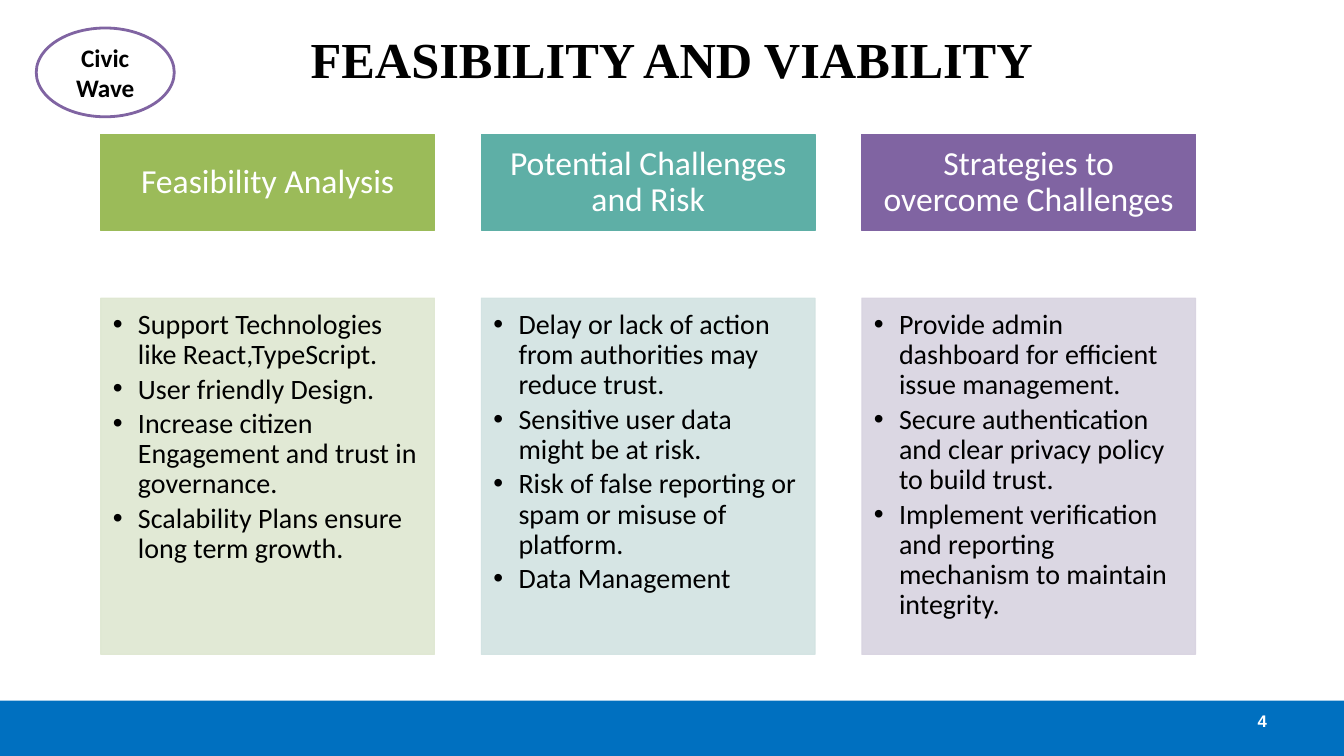
from dataclasses import dataclass

from lxml import etree
from pptx import Presentation
from pptx.dml.color import RGBColor
from pptx.enum.shapes import MSO_SHAPE
from pptx.enum.text import MSO_ANCHOR, PP_ALIGN
from pptx.oxml.ns import qn
from pptx.util import Pt

RECTANGLE, OVAL = MSO_SHAPE.RECTANGLE, MSO_SHAPE.OVAL
TOP, MIDDLE = MSO_ANCHOR.TOP, MSO_ANCHOR.MIDDLE
LEFT, CENTER, RIGHT = PP_ALIGN.LEFT, PP_ALIGN.CENTER, PP_ALIGN.RIGHT


@dataclass(frozen=True)
class Theme:
    body_font: str = "Calibri"
    title_font: str = "Times New Roman"
    number_font: str = "Arial"
    title_size: int = 36
    heading_size: int = 24
    bullet_size: int = 20
    badge_size: int = 18
    number_size: int = 12
    black: str = "000000"
    white: str = "FFFFFF"
    footer: str = "0070C0"
    green: str = "9BBB59"
    pale_green: str = "DEE7D1"
    teal: str = "5EAFA6"
    pale_teal: str = "D2E3E2"
    purple: str = "8064A2"
    pale_purple: str = "D8D3E0"


THEME = Theme()
SLIDE_WIDTH, SLIDE_HEIGHT = 960, 540
COLUMN_LEFT, COLUMN_PITCH, COLUMN_WIDTH = 72, 271.8, 238.4
HEADING_TOP, HEADING_HEIGHT = 96, 68.4
PANEL_TOP, PANEL_HEIGHT = 213, 254.5
BULLET_INDENT = 18

COLUMNS = [
    ("Feasibility Analysis", THEME.green, THEME.pale_green, [
        "Support Technologies like React,TypeScript.",
        "User friendly Design.",
        "Increase citizen Engagement and trust in governance.",
        "Scalability Plans ensure long term growth.",
    ]),
    ("Potential Challenges and Risk", THEME.teal, THEME.pale_teal, [
        "Delay or lack of action from authorities may reduce trust.",
        "Sensitive user data might be at risk.",
        "Risk of false reporting or spam or misuse of platform.",
        "Data Management",
    ]),
    ("Strategies to overcome Challenges", THEME.purple, THEME.pale_purple, [
        "Provide admin dashboard for efficient issue management.",
        "Secure authentication and clear privacy policy to build trust.",
        "Implement verification and reporting mechanism to maintain integrity.",
    ]),
]


def rgb(code):
    return RGBColor.from_string(code)


def add_block(slide, kind, box, fill, outline=None, weight=0.75):
    block = slide.shapes.add_shape(kind, *map(Pt, box))
    block.shadow.inherit = False
    block.fill.solid()
    block.fill.fore_color.rgb = rgb(fill)
    if outline:
        block.line.color.rgb = rgb(outline)
        block.line.width = Pt(weight)
    else:
        block.line.fill.background()
    return block


def set_opacity(block, percent):
    for color in block.fill._xPr.iter(qn("a:srgbClr")):
        etree.SubElement(color, qn("a:alpha"), val=str(percent * 1000))


def set_frame(holder, anchor, insets=(7.2, 3.6, 7.2, 3.6)):
    frame = holder.text_frame
    frame.word_wrap = True
    frame.vertical_anchor = anchor
    (frame.margin_left, frame.margin_top,
     frame.margin_right, frame.margin_bottom) = map(Pt, insets)
    return frame


def add_bullet(paragraph):
    properties = paragraph._p.get_or_add_pPr()
    properties.set("marL", str(Pt(BULLET_INDENT)))
    properties.set("indent", str(-Pt(BULLET_INDENT)))
    etree.SubElement(properties, qn("a:buFont"), typeface="Arial")
    etree.SubElement(properties, qn("a:buChar"), char="•")


def write(frame, lines, size, color, font=THEME.body_font, align=CENTER,
          bold=False, spacing=1.0, after=0, bulleted=False):
    for index, line in enumerate(lines):
        paragraph = frame.add_paragraph() if index else frame.paragraphs[0]
        if bulleted:
            add_bullet(paragraph)
        paragraph.alignment = align
        paragraph.line_spacing = spacing
        paragraph.space_after = Pt(after)
        run = paragraph.add_run()
        run.text = line
        run.font.name = font
        run.font.size = Pt(size)
        run.font.bold = bold
        run.font.color.rgb = rgb(color)


def add_label(slide, box, text, size, color, font, align):
    label = slide.shapes.add_textbox(*map(Pt, box))
    write(set_frame(label, MIDDLE), [text], size, color, font, align, bold=True)


def add_badge(slide):
    badge = add_block(slide, OVAL, (25.9, 20, 98.6, 63.4),
                      THEME.white, THEME.purple, 2)
    write(set_frame(badge, MIDDLE), ["Civic", "Wave"],
          THEME.badge_size, THEME.black, bold=True)


def add_column(slide, left, heading, strong, pale, bullets):
    header = add_block(slide, RECTANGLE,
                       (left, HEADING_TOP, COLUMN_WIDTH, HEADING_HEIGHT),
                       strong, strong)
    write(set_frame(header, MIDDLE, (13.5, 8, 13.5, 8)), [heading],
          THEME.heading_size, THEME.white, spacing=0.9)
    panel = add_block(slide, RECTANGLE,
                      (left, PANEL_TOP, COLUMN_WIDTH, PANEL_HEIGHT), pale, pale)
    set_opacity(panel, 90)
    write(set_frame(panel, TOP, (8.6, 8.6, 11.5, 12)), bullets,
          THEME.bullet_size, THEME.black, align=LEFT, spacing=0.9,
          after=3, bulleted=True)


def main():
    deck = Presentation()
    deck.slide_width, deck.slide_height = Pt(SLIDE_WIDTH), Pt(SLIDE_HEIGHT)
    slide = deck.slides.add_slide(deck.slide_layouts[6])
    add_block(slide, RECTANGLE, (0, 500.4, SLIDE_WIDTH, 39.6), THEME.footer)
    add_label(slide, (48, -3.6, 864, 90), "FEASIBILITY AND VIABILITY",
              THEME.title_size, THEME.black, THEME.title_font, CENTER)
    add_label(slide, (688, 500.4, 224, 28.8), "4",
              THEME.number_size, THEME.white, THEME.number_font, RIGHT)
    add_badge(slide)
    for index, column in enumerate(COLUMNS):
        add_column(slide, COLUMN_LEFT + index * COLUMN_PITCH, *column)
    deck.save("out.pptx")


if __name__ == "__main__":
    main()
